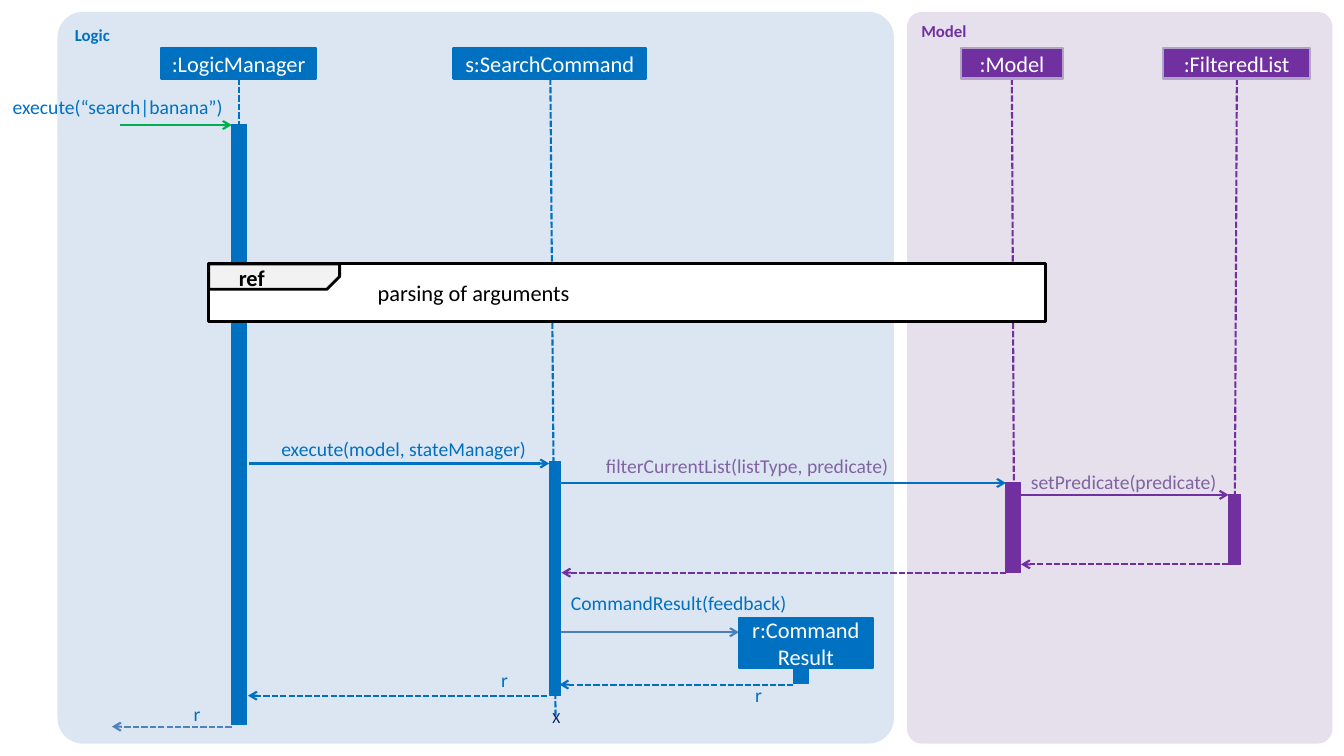
from lxml import etree
from pptx import Presentation
from pptx.dml import color
from pptx.enum import dml, shapes, text
from pptx.oxml import ns
from pptx.util import Cm, Pt

FONT = "Calibri"
BLUE, PURPLE, LILAC, VIOLET = "0070C0", "7030A0", "B3A2C7", "8064A2"
GREEN, STEEL, AZURE, NAVY = "00B050", "4F81BD", "4B7EBC", "002060"
WHITE, BLACK, GREY = "FFFFFF", "000000", "F2F2F2"
LEFT, CENTER, RIGHT = text.PP_ALIGN.LEFT, text.PP_ALIGN.CENTER, text.PP_ALIGN.RIGHT
HEAD_TOP, HEAD_HEIGHT = 1.22, 0.76
LABEL_HEIGHT, NOTE_HEIGHT = 0.61, 0.74

PANELS = [
    ("Model", 22.86, 10.72, "E6E0EC", PURPLE),
    ("Logic", 1.45, 21.08, "DCE6F2", BLUE),
]
PARTICIPANTS = [
    (":LogicManager", 4.06, HEAD_TOP, 3.91, HEAD_HEIGHT, BLUE, BLUE),
    ("s:SearchCommand", 11.43, HEAD_TOP, 4.85, HEAD_HEIGHT, BLUE, BLUE),
    (":Model", 24.21, HEAD_TOP, 2.59, HEAD_HEIGHT, PURPLE, LILAC),
    (":FilteredList", 29.31, HEAD_TOP, 3.71, HEAD_HEIGHT, PURPLE, LILAC),
    ("r:Command Result", 18.62, 15.57, 3.38, 1.27, BLUE, BLUE),
]
LIFELINES = [
    (6.02, 6.02, 7.87, BLUE),
    (13.87, 14.0, 18.03, BLUE),
    (25.5, 25.55, 12.17, PURPLE),
    (31.17, 31.12, 12.47, PURPLE),
]
ACTIVATIONS = [
    (5.84, 3.15, 0.38, 15.11, BLUE),
    (13.84, 11.63, 0.28, 5.89, BLUE),
    (25.35, 12.17, 0.38, 2.26, PURPLE),
    (30.96, 12.47, 0.3, 1.75, PURPLE),
    (19.99, 16.84, 0.38, 0.38, BLUE),
]
CALLS = [
    (3.02, 5.84, 3.15, GREEN),
    (6.27, 13.84, 11.68, BLUE),
    (14.15, 25.35, 12.17, BLUE),
    (25.73, 30.96, 12.47, PURPLE),
    (13.94, 18.62, 15.93, AZURE),
]
RETURNS = [
    (30.96, 25.73, 14.22, PURPLE),
    (25.35, 14.15, 14.43, PURPLE),
    (19.99, 14.1, 17.25, BLUE),
    (13.79, 6.25, 17.53, BLUE),
    (5.84, 2.82, 18.31, STEEL),
]
LABELS = [
    ("execute(“search|banana”)", -1.47, 2.39, 7.09, BLUE, RIGHT),
    ("execute(model, stateManager)", 6.86, 11.02, 6.63, BLUE, CENTER),
    ("filterCurrentList(listType, predicate)", 14.83, 11.43, 8.0, VIOLET, CENTER),
    ("setPredicate(predicate)", 25.5, 11.84, 5.64, VIOLET, CENTER),
    ("CommandResult(feedback)", 13.79, 14.88, 6.63, BLUE, CENTER),
    ("r", 18.34, 17.2, 1.55, BLUE, CENTER),
    ("r", 11.94, 16.84, 1.55, BLUE, CENTER),
    ("r", 4.01, 17.68, 1.91, BLUE, CENTER),
]
FRAGMENT_LEFT, FRAGMENT_TOP = 5.26, 6.65
FRAGMENT_NOTES = [
    ("ref", 5.77, 6.53, 3.43, True),
    ("parsing of arguments", 9.27, 6.91, 13.64, False),
]


def rgb(value):
    return color.RGBColor.from_string(value)


def write(shape, words, size, ink, align, bold=False):
    paragraph = shape.text_frame.paragraphs[0]
    paragraph.text = words
    paragraph.alignment = align
    paragraph.font.name = FONT
    paragraph.font.size = Pt(size)
    paragraph.font.bold = bold
    paragraph.font.color.rgb = rgb(ink)


def add_box(slide, kind, left, top, width, height, fill, outline=None, weight=0.75):
    shape = slide.shapes.add_shape(kind, Cm(left), Cm(top), Cm(width), Cm(height))
    shape.shadow.inherit = False
    shape.fill.solid()
    shape.fill.fore_color.rgb = rgb(fill)
    if outline:
        shape.line.color.rgb = rgb(outline)
        shape.line.width = Pt(weight)
    else:
        shape.line.fill.background()
    return shape


def add_line(slide, start, end, ink, dashed=False, arrow=False):
    connector = slide.shapes.add_connector(
        shapes.MSO_CONNECTOR.STRAIGHT, *(Cm(value) for value in start + end))
    connector.line.color.rgb = rgb(ink)
    connector.line.width = Pt(1.5)
    if dashed:
        connector.line.dash_style = dml.MSO_LINE.SQUARE_DOT
    properties = connector.element.spPr
    if arrow:
        outline = properties.find(ns.qn("a:ln"))
        etree.SubElement(outline, ns.qn("a:tailEnd"), type="arrow")
    etree.SubElement(properties, ns.qn("a:effectLst"))


def add_text(slide, words, left, top, width, height, size, ink, align,
             bold=False, wrap=True, inset=True):
    box = slide.shapes.add_textbox(Cm(left), Cm(top), Cm(width), Cm(height))
    frame = box.text_frame
    frame.word_wrap = wrap
    frame.auto_size = text.MSO_AUTO_SIZE.SHAPE_TO_FIT_TEXT
    if not inset:
        frame.margin_left = frame.margin_right = 0
        frame.margin_top = frame.margin_bottom = 0
    write(box, words, size, ink, align, bold)


def add_fragment(slide):
    add_box(slide, shapes.MSO_SHAPE.RECTANGLE, FRAGMENT_LEFT, FRAGMENT_TOP,
            21.08, 1.45, WHITE, BLACK, 2.25)
    tab = add_box(slide, shapes.MSO_SHAPE.SNIP_1_RECTANGLE, FRAGMENT_LEFT, FRAGMENT_TOP,
                  3.3, 0.64, GREY, BLACK, 2)
    tab.adjustments[0] = 0.5
    tab.rotation = 180
    tab.element.spPr.xfrm.set("flipH", "1")
    for words, left, top, width, bold in FRAGMENT_NOTES:
        add_text(slide, words, left, top, width, NOTE_HEIGHT, 16, BLACK, LEFT, bold)


def main():
    presentation = Presentation()
    presentation.slide_width, presentation.slide_height = Cm(33.87), Cm(19.05)
    slide = presentation.slides.add_slide(presentation.slide_layouts[6])

    for name, left, width, fill, ink in PANELS:
        panel = add_box(slide, shapes.MSO_SHAPE.ROUNDED_RECTANGLE, left, 0.3, width, 18.44, fill)
        panel.adjustments[0] = 0.035
        panel.text_frame.vertical_anchor = text.MSO_ANCHOR.TOP
        write(panel, name, 12, ink, LEFT, True)

    for top_x, bottom_x, bottom, ink in LIFELINES:
        add_line(slide, (top_x, HEAD_TOP + HEAD_HEIGHT), (bottom_x, bottom), ink, dashed=True)
    for messages, dashed in ((CALLS, False), (RETURNS, True)):
        for start, end, level, ink in messages:
            add_line(slide, (start, level), (end, level), ink, dashed, arrow=True)

    for left, top, width, height, fill in ACTIVATIONS:
        add_box(slide, shapes.MSO_SHAPE.RECTANGLE, left, top, width, height, fill, fill)
    for name, left, top, width, height, fill, outline in PARTICIPANTS:
        head = add_box(slide, shapes.MSO_SHAPE.RECTANGLE, left, top, width, height,
                       fill, outline, 1.5)
        head.text_frame.vertical_anchor = text.MSO_ANCHOR.MIDDLE
        write(head, name, 16, WHITE, CENTER)

    add_fragment(slide)
    for words, left, top, width, ink, align in LABELS:
        add_text(slide, words, left, top, width, LABEL_HEIGHT, 14, ink, align, inset=False)
    add_text(slide, "X", 13.67, 17.73, 0.71, NOTE_HEIGHT, 11, NAVY, CENTER, wrap=False)

    presentation.save("out.pptx")


if __name__ == "__main__":
    main()
